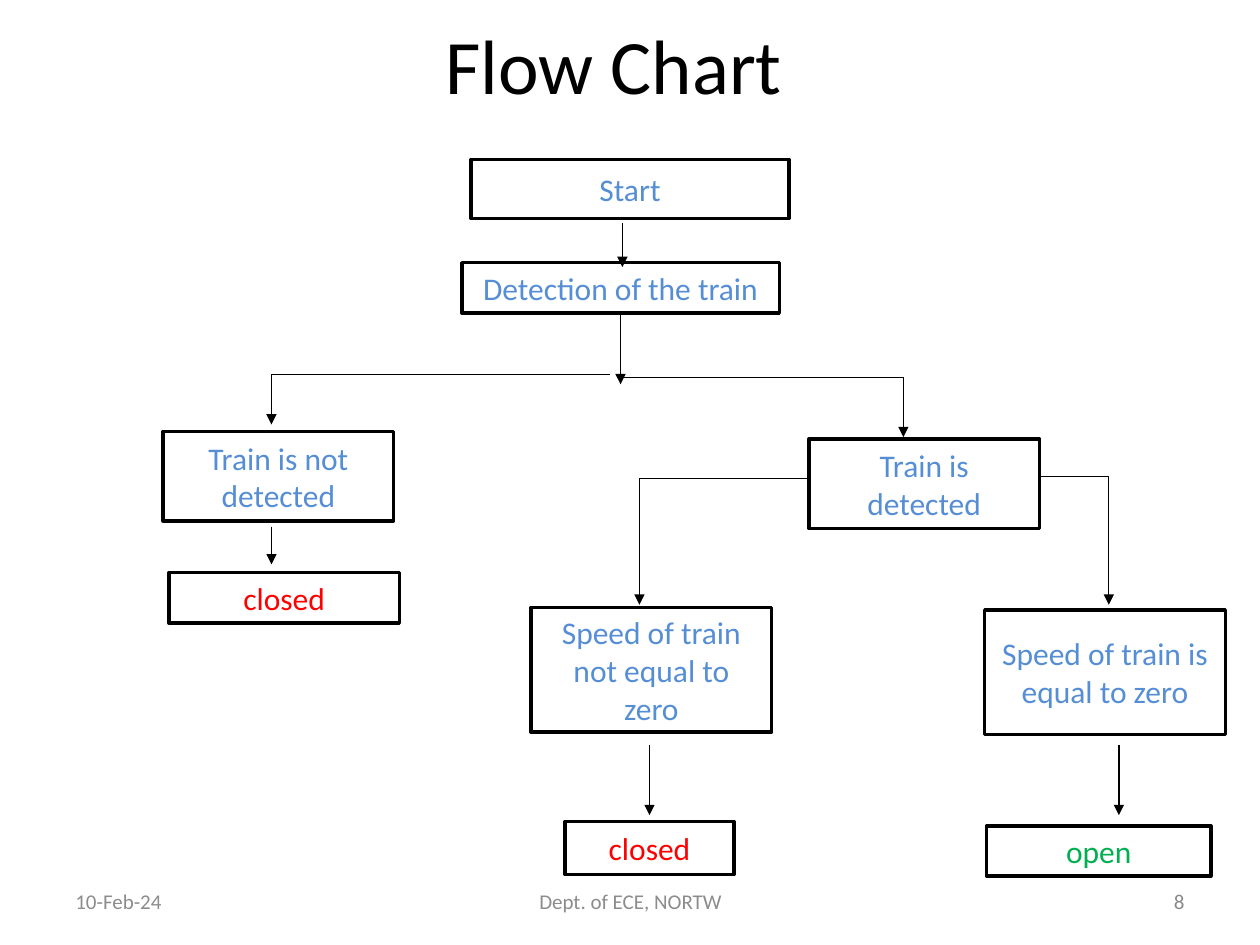
from dataclasses import dataclass
from typing import Optional

from lxml.etree import SubElement
from pptx import Presentation
from pptx.dml.color import RGBColor
from pptx.enum.shapes import MSO_CONNECTOR, MSO_SHAPE
from pptx.enum.text import MSO_ANCHOR, PP_ALIGN
from pptx.oxml.ns import qn
from pptx.util import Inches, Pt


@dataclass(frozen=True)
class Theme:
    font: str = "Calibri"
    ink: str = "000000"
    paper: str = "FFFFFF"
    step: str = "558ED5"
    closed: str = "FF0000"
    open: str = "00B050"
    footer: str = "8C8C8C"
    page_number: str = "898989"
    title_size: int = 44
    step_size: int = 18
    footer_size: int = 12
    box_line: float = 2
    arrow_line: float = 0.75


@dataclass(frozen=True)
class Area:
    column: float
    row: float
    columns: float
    rows: float


@dataclass(frozen=True)
class Step:
    text: str
    area: Area
    color: str


@dataclass(frozen=True)
class Arrow:
    start: tuple[float, float]
    end: tuple[float, float]
    source: Optional[Step] = None


@dataclass(frozen=True)
class Footer:
    text: str
    area: Area
    align: PP_ALIGN
    color: str = "8C8C8C"


THEME = Theme()
COLUMNS, ROWS = 100, 75
BOTTOM = 2
SLIDE_WIDTH, SLIDE_HEIGHT = Inches(10), Inches(7.5)

TITLE_AREA = Area(3.7, 0.85, 90, 8.4)
DETECTION = Step("Detection of the train", Area(36.65, 20.85, 25.2, 4), THEME.step)
STEPS = [
    Step("Start", Area(37.4, 12.65, 25.2, 4.7), THEME.step),
    DETECTION,
    Step("Train is not detected", Area(12.95, 34.25, 18.3, 7.1), THEME.step),
    Step("Train is detected", Area(64.2, 34.85, 18.3, 7.1), THEME.step),
    Step("closed", Area(13.4, 45.45, 18.3, 4), THEME.closed),
    Step("Speed of train not equal to zero", Area(42.15, 48.2, 19.1, 9.9), THEME.step),
    Step("Speed of train is equal to zero", Area(78.15, 48.4, 19.1, 9.9), THEME.step),
    Step("closed", Area(44.85, 65.2, 13.4, 4.2), THEME.closed),
    Step("open", Area(78.3, 65.55, 17.8, 4), THEME.open),
]
ARROWS = [
    Arrow((49.4, 17.7), (49.4, 21.2)),
    Arrow((49.25, 24.85), (49.25, 30.5), source=DETECTION),
    Arrow((21.55, 41.8), (21.55, 44.8)),
    Arrow((51.55, 59.1), (51.55, 64.7)),
    Arrow((88.8, 59.1), (88.8, 64.7)),
]
BRANCHES = [
    Arrow((48.4, 29.7), (21.55, 33.7)),
    Arrow((49.4, 29.95), (71.7, 34.7)),
    Arrow((64.1, 38), (50.75, 48)),
    Arrow((82.5, 37.8), (88, 48)),
]
FOOTERS = [
    Footer("10-Feb-24", Area(5, 69.5, 23.3, 4), PP_ALIGN.LEFT, THEME.footer),
    Footer("Dept. of ECE, NORTW", Area(34.2, 69.5, 31.7, 4), PP_ALIGN.CENTER, THEME.footer),
    Footer("8", Area(71.7, 69.5, 23.3, 4), PP_ALIGN.RIGHT, THEME.page_number),
]


def across(columns: float) -> int:
    return round(SLIDE_WIDTH * columns / COLUMNS)


def down(rows: float) -> int:
    return round(SLIDE_HEIGHT * rows / ROWS)


def place(area: Area) -> tuple[int, int, int, int]:
    return across(area.column), down(area.row), across(area.columns), down(area.rows)


def write(box, text: str, *, size: float, color: str, align: PP_ALIGN = PP_ALIGN.CENTER) -> None:
    frame = box.text_frame
    frame.word_wrap = True
    frame.vertical_anchor = MSO_ANCHOR.MIDDLE
    para = frame.paragraphs[0]
    para.alignment = align
    span = para.add_run()
    span.text = text
    span.font.name = THEME.font
    span.font.size = Pt(size)
    span.font.color.rgb = RGBColor.from_string(color)


def draw_title(page) -> None:
    title = page.shapes.title
    title.left, title.top, title.width, title.height = place(TITLE_AREA)
    write(title, "Flow Chart", size=THEME.title_size, color=THEME.ink)


def draw_step(page, step: Step):
    box = page.shapes.add_shape(MSO_SHAPE.RECTANGLE, *place(step.area))
    box.shadow.inherit = False
    box.fill.solid()
    box.fill.fore_color.rgb = RGBColor.from_string(THEME.paper)
    box.line.color.rgb = RGBColor.from_string(THEME.ink)
    box.line.width = Pt(THEME.box_line)
    write(box, step.text, size=THEME.step_size, color=step.color)
    return box


def draw_arrow(page, arrow: Arrow, kind: MSO_CONNECTOR = MSO_CONNECTOR.STRAIGHT):
    (left, top), (right, bottom) = arrow.start, arrow.end
    connector = page.shapes.add_connector(
        kind, across(left), down(top), across(right), down(bottom)
    )
    connector.line.color.rgb = RGBColor.from_string(THEME.ink)
    connector.line.width = Pt(THEME.arrow_line)
    SubElement(connector.line._get_or_add_ln(), qn("a:tailEnd"), type="triangle")
    SubElement(connector._element.spPr, qn("a:effectLst"))
    return connector


def draw_branch(page, branch: Arrow) -> None:
    connector = draw_arrow(page, branch, MSO_CONNECTOR.ELBOW)
    connector._element.spPr.find(qn("a:prstGeom")).set("prst", "bentConnector2")


def draw_footer(page, footer: Footer) -> None:
    box = page.shapes.add_textbox(*place(footer.area))
    write(box, footer.text, size=THEME.footer_size, color=footer.color, align=footer.align)


def main() -> None:
    deck = Presentation()
    deck.slide_width, deck.slide_height = SLIDE_WIDTH, SLIDE_HEIGHT
    page = deck.slides.add_slide(deck.slide_layouts[5])
    draw_title(page)
    for footer in FOOTERS:
        draw_footer(page, footer)
    boxes = {step: draw_step(page, step) for step in STEPS}
    for arrow in ARROWS:
        connector = draw_arrow(page, arrow)
        if arrow.source:
            connector.begin_connect(boxes[arrow.source], BOTTOM)
    for branch in BRANCHES:
        draw_branch(page, branch)
    deck.save("out.pptx")


if __name__ == "__main__":
    main()
